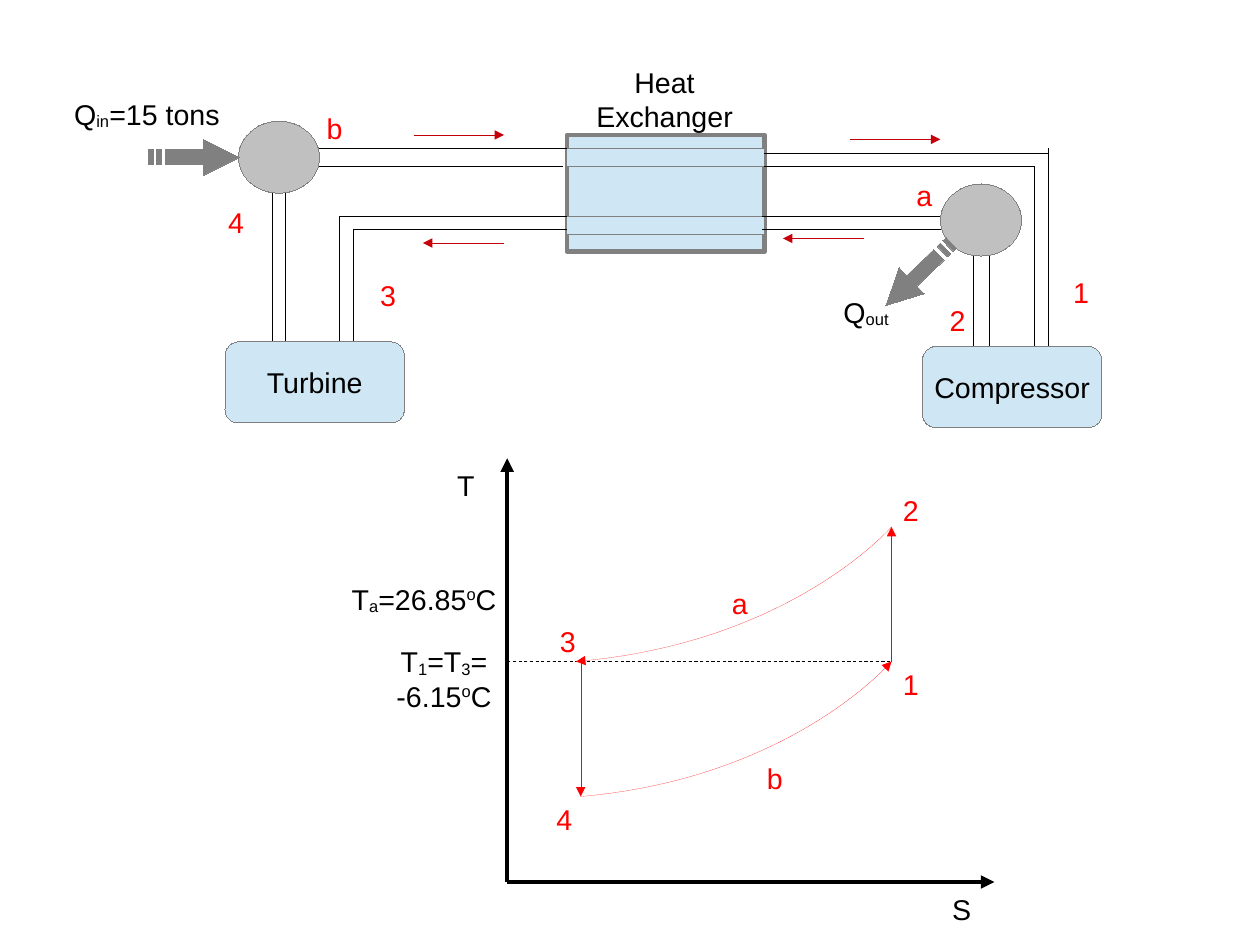
from typing import NamedTuple

from lxml import etree
from pptx import Presentation, util as u
from pptx.dml.color import RGBColor
from pptx.enum import dml, shapes, text
from pptx.oxml import ns

HUES = {"ink": "000000", "red": "FF0000", "flow": "C5000B",
        "blue": "CFE7F5", "edge": "808080", "node": "C0C0C0"}
KINDS = shapes.MSO_SHAPE
ALIGN = text.PP_ALIGN
SUB, SUP = -8000, 33000
HAIR, BOLD = 0, 2.83
Point = tuple[float, float]


class Run(NamedTuple):
    words: str
    base: int = 0


class Label(NamedTuple):
    x: float
    y: float
    w: float
    h: float
    lines: list[list[Run]]
    align: ALIGN = ALIGN.LEFT


class Mark(NamedTuple):
    """A red one-letter state or path name."""
    x: float
    y: float
    words: str


class Block(NamedTuple):
    kind: KINDS
    x: float
    y: float
    w: float
    h: float
    hue: str
    width: float = HAIR
    words: str = ""


class Line(NamedTuple):
    start: Point
    end: Point
    hue: str
    width: float = HAIR
    tip: bool = True


# Cycle diagram levels and the two entropy values
LEFT, RIGHT = 365.8, 561.6
HIGH, MID, LOW = 331.9, 416.7, 501.8
ZERO = (319.5, 555.6)

BLOCKS = [
    Block(KINDS.RECTANGLE, 357.1, 85, 124.6, 73.4, "blue", BOLD),
    Block(KINDS.RECTANGLE, 357.1, 136.1, 124.6, 11.5, "blue"),
    Block(KINDS.RECTANGLE, 357.1, 93.6, 124.6, 11.5, "blue"),
    Block(KINDS.ROUNDED_RECTANGLE, 141.8, 215.3, 113, 51.1, "blue", words="Turbine"),
    Block(KINDS.ROUNDED_RECTANGLE, 581.1, 218.2, 113, 51.1, "blue", words="Compressor"),
    Block(KINDS.OVAL, 150.2, 76.3, 51.1, 45.4, "node"),
    Block(KINDS.OVAL, 592.4, 115.9, 51.1, 45.4, "node"),
]
PIPES = [
    [(357.1, 144.7), (222.5, 144.7), (222.5, 218.2)],
    [(357.1, 136.1), (213.8, 136.1), (213.8, 218.2)],
    [(354.2, 105.1), (180, 105.1), (180, 215.3)],
    [(357.1, 93.6), (171.4, 93.6), (171.4, 215.3)],
    [(480.2, 144.7), (613.4, 144.7), (613.4, 218.2)],
    [(480.2, 136.1), (623.5, 136.1), (623.5, 218.2)],
    [(481.7, 105.1), (651.6, 105.1), (651.6, 218.2)],
    [(481.7, 96.5), (660.2, 96.5)],
    [(660.2, 93.6), (660.2, 218.2)],
]
LINES = [
    Line(ZERO, (626.4, ZERO[1]), "ink", BOLD),
    Line(ZERO, (ZERO[0], 288.7), "ink", BOLD),
    Line((544.3, 150.2), (493.2, 150.2), "flow"),
    Line((535.7, 87.8), (592.4, 87.8), "flow"),
    Line((317.5, 153.1), (266.4, 153.1), "flow"),
    Line((260.6, 85), (317.5, 85), "flow"),
    Line((RIGHT, MID), (RIGHT, HIGH), "red"),
    Line((LEFT, MID), (LEFT, LOW), "red"),
]
CURVES = [
    [(LEFT, LOW), (499, 490.3), (RIGHT, MID), (RIGHT, MID)],
    [(RIGHT, HIGH), (RIGHT, HIGH), (498.2, 405.4), (362.9, MID)],
]
ARROW = [
    [(34.6, 0), (57, 11.4), (34.6, 22.7), (34.6, 15.8),
     (10.8, 15.8), (10.8, 6.5), (34.6, 6.5)],
    *([(x, 6.5), (x, 15.8), (x + 2.9, 15.8), (x + 2.9, 6.5)] for x in (0, 5)),
]
LABELS = [
    Label(592.6, 558.4, 26, 27.4, [[Run("S")]]),
    Label(280.8, 291.4, 23, 27.4, [[Run("T")]]),
    Label(241.6, 402.3, 76.2, 54,
          [[Run("T"), Run("1", SUB), Run("=T"), Run("3", SUB), Run("=")],
           [Run("-6.15"), Run("o", SUP), Run("C")]], ALIGN.CENTER),
    Label(366.6, 37.4, 104, 47.5, [[Run("Heat")], [Run("Exchanger")]], ALIGN.CENTER),
    Label(39.6, 57.6, 109, 33.1, [[Run("Q"), Run("in", SUB), Run("=15 tons")]]),
    Label(524.2, 182.2, 46, 33.1, [[Run("Q"), Run("out", SUB)]]),
    Label(214.4, 362.9, 109, 33.8,
          [[Run("T"), Run("a", SUB), Run("=26.85"), Run("o", SUP), Run("C")]]),
]
MARKS = [
    Mark(561.6, 416.7, "1"), Mark(561.6, 307, "2"),
    Mark(345.6, 389.3, "3"), Mark(343.4, 501.5, "4"),
    Mark(668.9, 169.9, "1"), Mark(136.6, 125.7, "4"),
    Mark(591.1, 187.2, "2"), Mark(232.4, 171.2, "3"),
    Mark(198.7, 66.2, "b"), Mark(570.2, 108.7, "a"),
    Mark(454, 365.5, "a"), Mark(475.9, 475.9, "b"),
]


def tint(name: str) -> RGBColor:
    return RGBColor.from_string(HUES[name])


def stroke(shape, hue: str, width: float, tip: bool = False) -> None:
    """Set the outline, with an arrowhead at its end if tip is true."""
    shape.line.color.rgb = tint(hue)
    edge = shape._element.spPr.find(ns.qn("a:ln"))
    # A zero width must be written out, or the theme's width is used
    edge.set("w", str(int(u.Pt(width))))
    if tip:
        etree.SubElement(edge, ns.qn("a:tailEnd"), type="triangle")


def write(para, runs: list[Run], hue: str = "ink") -> None:
    for part in runs:
        run = para.add_run()
        run.text = part.words
        run.font.name = "Arial"
        run.font.size = u.Pt(18)
        run.font.color.rgb = tint(hue)
        if part.base:
            run._r.get_or_add_rPr().set("baseline", str(part.base))


def add_block(tree, b: Block) -> None:
    shape = tree.add_shape(b.kind, u.Pt(b.x), u.Pt(b.y), u.Pt(b.w), u.Pt(b.h))
    shape.shadow.inherit = False
    shape.fill.solid()
    shape.fill.fore_color.rgb = tint(b.hue)
    stroke(shape, "edge", b.width)
    if b.words:
        shape.text_frame.word_wrap = False
        para = shape.text_frame.paragraphs[0]
        para.alignment = ALIGN.CENTER
        write(para, [Run(b.words)])


def add_line(tree, l: Line):
    ends = [u.Pt(v) for v in (*l.start, *l.end)]
    line = tree.add_connector(shapes.MSO_CONNECTOR.STRAIGHT, *ends)
    stroke(line, l.hue, l.width, l.tip)
    etree.SubElement(line._element.spPr, ns.qn("a:effectLst"))
    return line


def add_free(tree, rings: list[list[Point]], close: bool):
    pen = None
    for ring in rings:
        first, *rest = [(u.Pt(x), u.Pt(y)) for x, y in ring]
        if pen is None:
            pen = tree.build_freeform(*first)
        else:
            pen.move_to(*first)
        pen.add_line_segments(rest, close=close)
    shape = pen.convert_to_shape()
    shape.shadow.inherit = False
    return shape


def add_arrow(tree, x: float, y: float, turn: float) -> None:
    rings = [[(x + dx, y + dy) for dx, dy in ring] for ring in ARROW]
    shape = add_free(tree, rings, True)
    shape.rotation = turn
    shape.fill.solid()
    shape.fill.fore_color.rgb = tint("edge")
    stroke(shape, "edge", HAIR)


def add_curve(tree, poles: list[Point], steps: int = 40) -> None:
    """Draw a cubic Bezier curve through short segments."""
    dots = []
    for i in range(steps + 1):
        t = i / steps
        parts = ((1 - t) ** 3, 3 * t * (1 - t) ** 2, 3 * t * t * (1 - t), t ** 3)
        dots.append(tuple(sum(k * p[axis] for k, p in zip(parts, poles))
                          for axis in (0, 1)))
    shape = add_free(tree, [dots], False)
    shape.fill.background()
    stroke(shape, "red", HAIR, True)


def add_label(tree, l: Label, hue: str = "ink", wrap: bool = False) -> None:
    frame = tree.add_textbox(u.Pt(l.x), u.Pt(l.y), u.Pt(l.w), u.Pt(l.h)).text_frame
    frame.word_wrap = wrap
    frame.auto_size = text.MSO_AUTO_SIZE.SHAPE_TO_FIT_TEXT
    for i, runs in enumerate(l.lines):
        para = frame.add_paragraph() if i else frame.paragraphs[0]
        para.alignment = l.align
        write(para, runs, hue)


def main() -> None:
    deck = Presentation()
    deck.slide_width, deck.slide_height = u.Pt(793.7), u.Pt(595.28)
    tree = deck.slides.add_slide(deck.slide_layouts[6]).shapes
    for block in BLOCKS[:3]:
        add_block(tree, block)
    for pipe in PIPES:
        for start, end in zip(pipe, pipe[1:]):
            add_line(tree, Line(start, end, "ink", tip=False))
    for block in BLOCKS[3:]:
        add_block(tree, block)
    add_arrow(tree, 93.6, 87.8, 0)
    add_arrow(tree, 550.1, 161.3, 136)
    level = add_line(tree, Line((ZERO[0], MID), (RIGHT, MID), "ink", 0.5, False))
    level.line.dash_style = dml.MSO_LINE.DASH
    for line in LINES:
        add_line(tree, line)
    for curve in CURVES:
        add_curve(tree, curve)
    for label in LABELS:
        add_label(tree, label)
    for mark in MARKS:
        add_label(tree, Label(mark.x, mark.y, 22.3, 27.4, [[Run(mark.words)]]), "red", True)
    deck.save("out.pptx")


if __name__ == "__main__":
    main()
